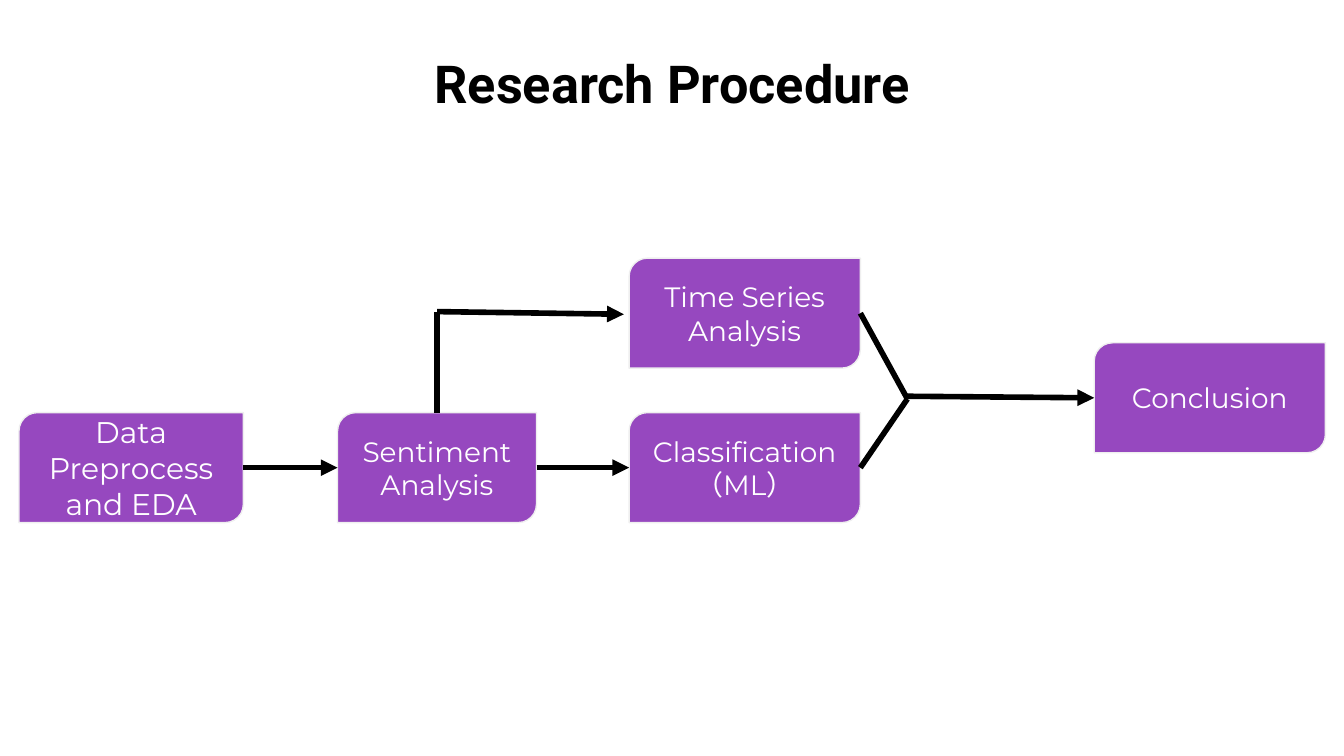
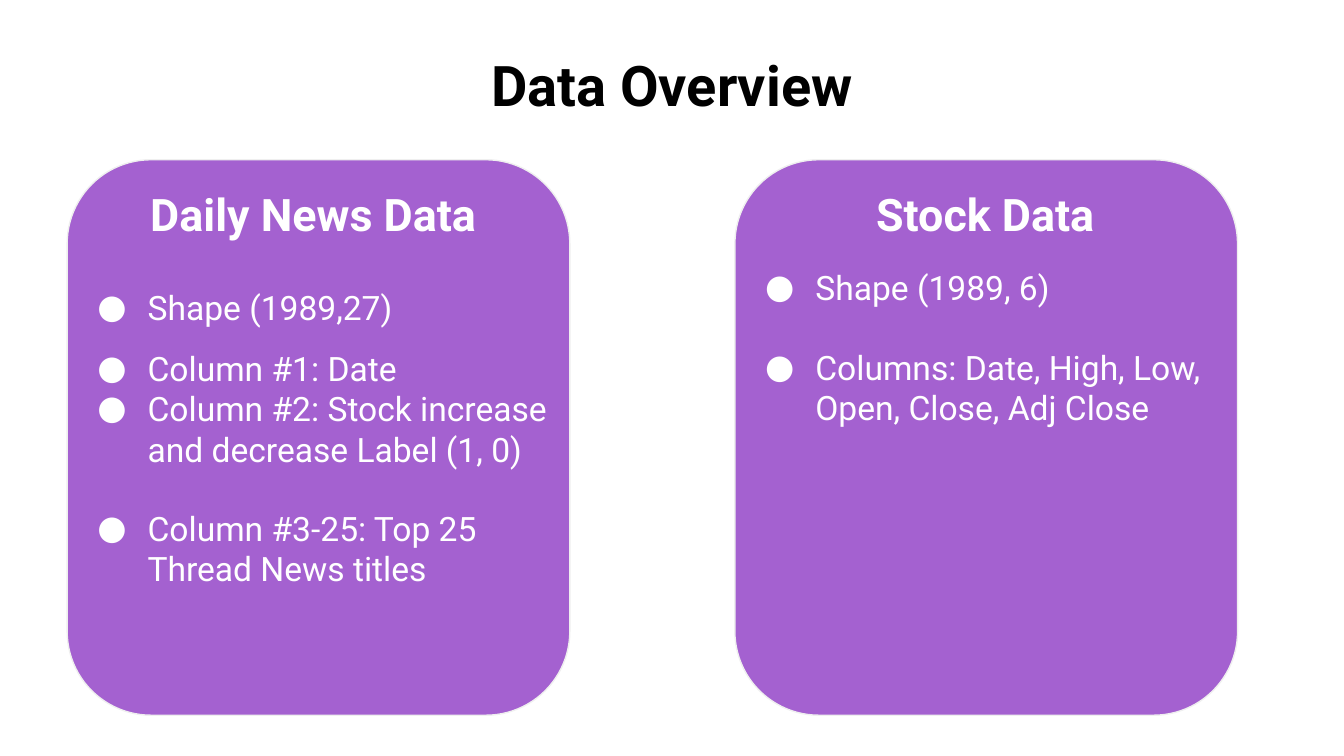
"""Build the research procedure and data overview slides."""
from lxml.etree import SubElement
from pptx import Presentation
from pptx.dml.color import RGBColor
from pptx.enum.shapes import MSO_CONNECTOR, MSO_SHAPE
from pptx.enum.text import MSO_ANCHOR, MSO_AUTO_SIZE, PP_ALIGN
from pptx.oxml.ns import qn
from pptx.util import Cm, Pt

COLORS = {"ink": "000000", "white": "FFFFFF", "step": "9648BF", "card": "A461D0", "edge": "EFEFEF"}
HEAD, BODY = "Roboto", "Montserrat"
TOP, LEFT, RIGHT = 0, 1, 3
STEP_H = 2.08
CARD_Y, CARD_W, CARD_H = 3.02, 9.5, 10.5


def color(name):
    return RGBColor.from_string(COLORS[name])


def place(shape, x, y, w, h):
    shape.left, shape.top, shape.width, shape.height = Cm(x), Cm(y), Cm(w), Cm(h)


def frame(shape, anchor=MSO_ANCHOR.TOP):
    text = shape.text_frame
    text.word_wrap = True
    text.auto_size = MSO_AUTO_SIZE.NONE
    text.vertical_anchor = anchor
    text.margin_left = text.margin_right = text.margin_top = text.margin_bottom = Cm(0.25)
    return text


def style(para, size, font=HEAD, tint="white", bold=False, align=PP_ALIGN.LEFT):
    para.alignment = align
    for run in para.runs:
        run.font.name, run.font.size, run.font.bold = font, Pt(size), bold
        run.font.color.rgb = color(tint)


def add_title(slide, words, size):
    title = slide.shapes.title
    place(title, 1.98, 0.71, 21.44, 1.6)
    text = frame(title)
    text.text = words
    style(text.paragraphs[0], size, tint="ink", bold=True, align=PP_ALIGN.CENTER)


def add_box(slide, kind, x, y, w, h, fill):
    box = slide.shapes.add_shape(kind, Cm(x), Cm(y), Cm(w), Cm(h))
    box.shadow.inherit = False
    box.adjustments[0] = 0.167
    box.fill.solid()
    box.fill.fore_color.rgb = color(fill)
    box.line.color.rgb = color("edge")
    box.line.width = Pt(0.75)
    return box


def add_step(slide, words, x, y, w=4.37, size=15):
    step = add_box(slide, MSO_SHAPE.ROUND_2_DIAG_RECTANGLE, x, y, w, STEP_H, "step")
    text = frame(step, MSO_ANCHOR.MIDDLE)
    text.text = words
    style(text.paragraphs[0], size, BODY, align=PP_ALIGN.CENTER)
    return step


def add_link(slide, start, end, arrow=True):
    """Draw a line between two ends, each a point or a (step, side) pair."""
    link = slide.shapes.add_connector(MSO_CONNECTOR.STRAIGHT, 0, 0, 0, 0)
    if hasattr(start[0], "shape_id"):
        link.begin_connect(*start)
    else:
        link.begin_x, link.begin_y = Cm(start[0]), Cm(start[1])
    if hasattr(end[0], "shape_id"):
        link.end_connect(*end)
    else:
        link.end_x, link.end_y = Cm(end[0]), Cm(end[1])
    link.line.color.rgb = color("ink")
    link.line.width = Pt(3)
    if arrow:
        SubElement(link.line._get_or_add_ln(), qn("a:tailEnd"), type="triangle")
    SubElement(link._element.spPr, qn("a:effectLst"))


def add_bullet(para):
    props = para._p.get_or_add_pPr()
    props.set("marL", str(Cm(1.27)))
    props.set("indent", str(-Cm(0.95)))
    tint = SubElement(props, qn("a:buClr"))
    SubElement(tint, qn("a:srgbClr"), val=COLORS["white"])
    SubElement(props, qn("a:buFont"), typeface=HEAD)
    SubElement(props, qn("a:buChar"), char="●")


def add_list(holder, x, items):
    place(holder, x, 4.8, CARD_W, 8.71)
    text = frame(holder)
    text.text = "\n".join(words for words, _, _ in items)
    for para, (_, lines, gap) in zip(text.paragraphs, items):
        style(para, 18)
        para.line_spacing = lines
        para.space_before, para.space_after = Pt(gap), Pt(0)
        add_bullet(para)


def add_card(slide, holder, x, head, head_x, head_w, items):
    card = add_box(slide, MSO_SHAPE.ROUNDED_RECTANGLE, x, CARD_Y, CARD_W, CARD_H, "card")
    holder._element.addprevious(card._element)
    label = slide.shapes.add_textbox(Cm(head_x), Cm(3.28), Cm(head_w), Cm(1.6))
    text = frame(label)
    text.text = head
    style(text.paragraphs[0], 24, bold=True)
    add_list(holder, x, items)


def add_flow(deck):
    slide = deck.slides.add_slide(deck.slide_layouts[5])
    add_title(slide, "Research Procedure", 28)
    low = 7.8
    prep = add_step(slide, "Data Preprocess and EDA", 0.36, low, 4.24, 16)
    mood = add_step(slide, "Sentiment Analysis", 6.38, low, 3.76)
    group = add_step(slide, "Classification（ML）", 11.89, low)
    series = add_step(slide, "Time Series Analysis", 11.89, 4.88)
    close = add_step(slide, "Conclusion", 20.68, 6.48)
    bend, joint = (8.26, 5.89), (17.15, 7.54)
    add_link(slide, (prep, RIGHT), (mood, LEFT))
    add_link(slide, (mood, RIGHT), (group, LEFT))
    add_link(slide, bend, (mood, TOP), arrow=False)
    add_link(slide, bend, (11.79, 5.94))
    for step in (series, group):
        add_link(slide, (step, RIGHT), joint, arrow=False)
    add_link(slide, (17.15, 7.49), (close, LEFT))


def add_data(deck):
    slide = deck.slides.add_slide(deck.slide_layouts[3])
    add_title(slide, "Data Overview", 30)
    _, news, stock = slide.placeholders
    add_card(slide, news, 1.27, "Daily News Data", 2.59, 7.24, [
        ("Shape (1989,27)", 1.5, 0),
        ("Column #1: Date", 1.5, 0),
        ("Column #2: Stock increase and decrease Label (1, 0)", 1, 0),
        ("Column #3-25: Top 25 Thread News titles", 1, 21)])
    add_card(slide, stock, 13.89, "Stock Data", 16.31, 5.08, [
        ("Shape (1989, 6)", 1, 0),
        ("Columns: Date, High, Low, Open, Close, Adj Close", 1, 21)])


def main():
    deck = Presentation()
    deck.slide_width, deck.slide_height = Cm(25.4), Cm(14.29)
    add_flow(deck)
    add_data(deck)
    deck.save("out.pptx")


if __name__ == "__main__":
    main()
